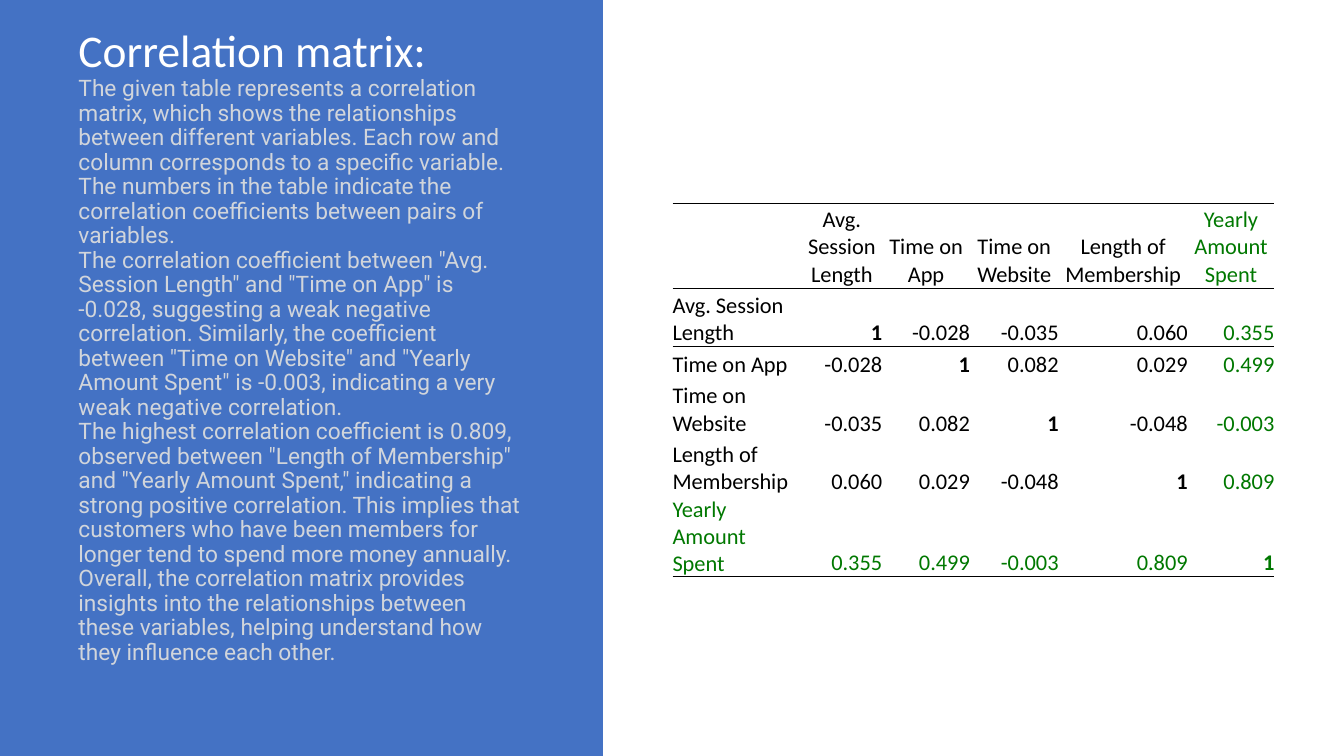
from lxml import etree
from pptx import Presentation
from pptx.dml.color import RGBColor
from pptx.enum.shapes import MSO_SHAPE
from pptx.enum.text import MSO_ANCHOR, PP_ALIGN
from pptx.oxml.ns import qn
from pptx.util import Inches, Pt

RECT = MSO_SHAPE.RECTANGLE
MIDDLE, BOTTOM = MSO_ANCHOR.MIDDLE, MSO_ANCHOR.BOTTOM
LEFT, CENTER, RIGHT = PP_ALIGN.LEFT, PP_ALIGN.CENTER, PP_ALIGN.RIGHT
PLAIN = "{2D5ABB26-0587-4C30-8999-92F81FD0307C}"
BLUE, WHITE, GRAY, BLACK, GREEN = "4472C4", "FFFFFF", "D1D5DB", "000000", "007800"

TITLE = "Correlation matrix: "
BODY = [
    "The given table represents a correlation matrix, which shows the relationships between different variables. Each row and column corresponds to a specific variable. The numbers in the table indicate the correlation coefficients between pairs of variables.",
    'The correlation coefficient between "Avg. Session Length" and "Time on App" is -0.028, suggesting a weak negative correlation. Similarly, the coefficient between "Time on Website" and "Yearly Amount Spent" is -0.003, indicating a very weak negative correlation.',
    'The highest correlation coefficient is 0.809, observed between "Length of Membership" and "Yearly Amount Spent," indicating a strong positive correlation. This implies that customers who have been members for longer tend to spend more money annually.',
    "Overall, the correlation matrix provides insights into the relationships between these variables, helping understand how they influence each other.",
]
NAMES = ["Avg. Session Length", "Time on App", "Time on Website",
         "Length of Membership", "Yearly Amount Spent"]
VALUES = [
    ("1", "-0.028", "-0.035", "0.060", "0.355"),
    ("-0.028", "1", "0.082", "0.029", "0.499"),
    ("-0.035", "0.082", "1", "-0.048", "-0.003"),
    ("0.060", "0.029", "-0.048", "1", "0.809"),
    ("0.355", "0.499", "-0.003", "0.809", "1"),
]
WIDTHS = [1.28, 0.8, 0.87, 0.88, 1.28, 0.86]
HEIGHTS = [0.84, 0.58, 0.32, 0.58, 0.58, 0.58]
EDGES = {0: {"lnT": 1, "lnB": 0.5}, 1: {"lnT": 0.5}, 5: {"lnB": 1}}


def color(code):
    return RGBColor.from_string(code)


def assign(obj, values):
    for key, val in values.items():
        setattr(obj, key, val)


def box(*nums):
    return [Inches(n) for n in nums]


def write(para, text, tone, **style):
    run = para.add_run()
    run.text = text
    assign(run.font, style)
    run.font.color.rgb = color(tone)


def border(cell, edges):
    props = cell._tc.get_or_add_tcPr()
    for spot, (tag, width) in enumerate(edges.items()):
        line = etree.Element(qn("a:" + tag), w=str(Pt(width)))
        fill = etree.SubElement(line, qn("a:solidFill"))
        etree.SubElement(fill, qn("a:srgbClr"), val=BLACK)
        props.insert(spot, line)


def add_panel(slide):
    panel = slide.shapes.add_shape(RECT, *box(0, 0, 5.98, 7.5))
    panel.shadow.inherit = False
    panel.fill.solid()
    panel.fill.fore_color.rgb = color(BLUE)
    panel.line.fill.background()


def add_text(slide):
    frame = slide.shapes.add_textbox(*box(0.68, 0.7, 4.62, 6.1)).text_frame
    assign(frame, {"word_wrap": True, "vertical_anchor": MIDDLE,
                   "margin_bottom": Inches(0.67)})
    for num, text in enumerate([TITLE] + BODY):
        para = frame.add_paragraph() if num else frame.paragraphs[0]
        para.line_spacing = 0.9
        if num:
            write(para, text, GRAY, name="Roboto", size=Pt(16.2))
        else:
            write(para, text, WHITE, name="Calibri", size=Pt(32.4))


def add_matrix(slide):
    grid = [[""] + NAMES] + [[name, *row] for name, row in zip(NAMES, VALUES)]
    last = len(NAMES)
    table = slide.shapes.add_table(last + 1, last + 1, *box(6.67, 2.02, 5.97, 3.48)).table
    assign(table, {"first_row": False, "horz_banding": False})
    table._tbl.tblPr.find(qn("a:tableStyleId")).text = PLAIN
    for col, width in zip(table.columns, WIDTHS):
        col.width = Inches(width)
    for row, height in zip(table.rows, HEIGHTS):
        row.height = Inches(height)
    for r, row in enumerate(grid):
        for c, text in enumerate(row):
            cell = table.cell(r, c)
            cell.fill.background()
            assign(cell, {"vertical_anchor": BOTTOM, "margin_left": 0, "margin_right": 0,
                          "margin_top": 0, "margin_bottom": 0})
            border(cell, EDGES.get(r, {}))
            para = cell.text_frame.paragraphs[0]
            para.alignment = CENTER if r == 0 else RIGHT if c else LEFT
            if text:
                write(para, text, GREEN if last in (r, c) else BLACK,
                      name="Calibri", size=Pt(16), bold=r == c)


def main():
    deck = Presentation()
    assign(deck, {"slide_width": Inches(13.33), "slide_height": Inches(7.5)})
    slide = deck.slides.add_slide(deck.slide_layouts[6])
    add_panel(slide)
    add_text(slide)
    add_matrix(slide)
    deck.save("out.pptx")


if __name__ == "__main__":
    main()
